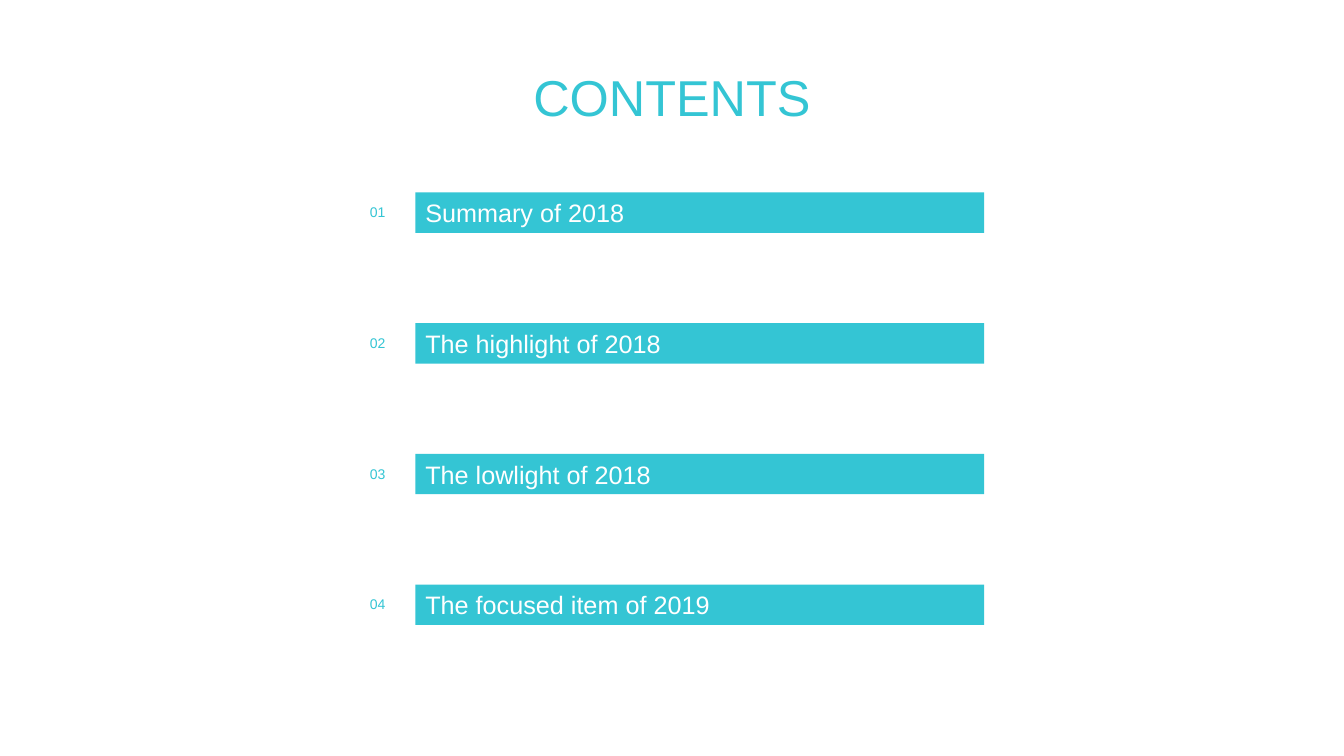
from pptx import Presentation
from pptx.dml.color import RGBColor
from pptx.enum import shapes, text
from pptx.util import Inches, Pt

TEAL = "34C5D4"
WHITE = "FFFFFF"
TOPICS = [
    "Summary of 2018",
    "The highlight of 2018",
    "The lowlight of 2018",
    "The focused item of 2019",
]
FIRST_TOP = 1.91
ROW_STEP = 1.297


def rgb(value):
    return RGBColor.from_string(value)


def write(tf, content, size=18, color=WHITE, font="Arial",
          align=text.PP_ALIGN.LEFT, anchor=text.MSO_ANCHOR.TOP, spacing=1.0):
    """Put one formatted paragraph into a text frame."""
    tf.word_wrap = True
    tf.auto_size = text.MSO_AUTO_SIZE.NONE
    tf.vertical_anchor = anchor
    p = tf.paragraphs[0]
    p.alignment = align
    p.line_spacing = spacing
    r = p.add_run()
    r.text = content
    r.font.name = font
    r.font.size = Pt(size)
    r.font.color.rgb = rgb(color)


class ContentsSlide:
    """Holds the slide and its accent colour."""

    def __init__(self, prs, accent):
        self.s = prs.slides.add_slide(prs.slide_layouts[5])
        self.accent = accent

    def title(self, content, left, top, width, height):
        sp = self.s.shapes.title
        sp.left, sp.top = Inches(left), Inches(top)
        sp.width, sp.height = Inches(width), Inches(height)
        write(sp.text_frame, content, size=36, color=self.accent,
              align=text.PP_ALIGN.CENTER, spacing=1.3)

    def number(self, group, content, left, top):
        sp = group.shapes.add_textbox(Inches(left), Inches(top), Inches(0.4), Inches(0.28))
        write(sp.text_frame, content, size=10, color=self.accent)

    def bar(self, group, content, left, top):
        sp = group.shapes.add_shape(shapes.MSO_SHAPE.RECTANGLE, Inches(left), Inches(top),
                                    Inches(5.64), Inches(0.4))
        sp.shadow.inherit = False
        sp.fill.solid()
        sp.fill.fore_color.rgb = rgb(self.accent)
        sp.line.fill.background()
        write(sp.text_frame, content, anchor=text.MSO_ANCHOR.MIDDLE)

    def topic(self, index, content):
        """Add a numbered topic as one group."""
        top = FIRST_TOP + index * ROW_STEP
        group = self.s.shapes.add_group_shape()
        self.number(group, f"{index + 1:02d}", 3.57, top + 0.06)
        self.bar(group, content, 4.12, top)


def main():
    prs = Presentation()
    prs.slide_width, prs.slide_height = Inches(13.33), Inches(7.5)
    contents = ContentsSlide(prs, TEAL)
    contents.title("CONTENTS", 5.01, 0.43, 3.31, 0.89)
    for index, topic in enumerate(TOPICS):
        contents.topic(index, topic)
    prs.save("out.pptx")


if __name__ == "__main__":
    main()
